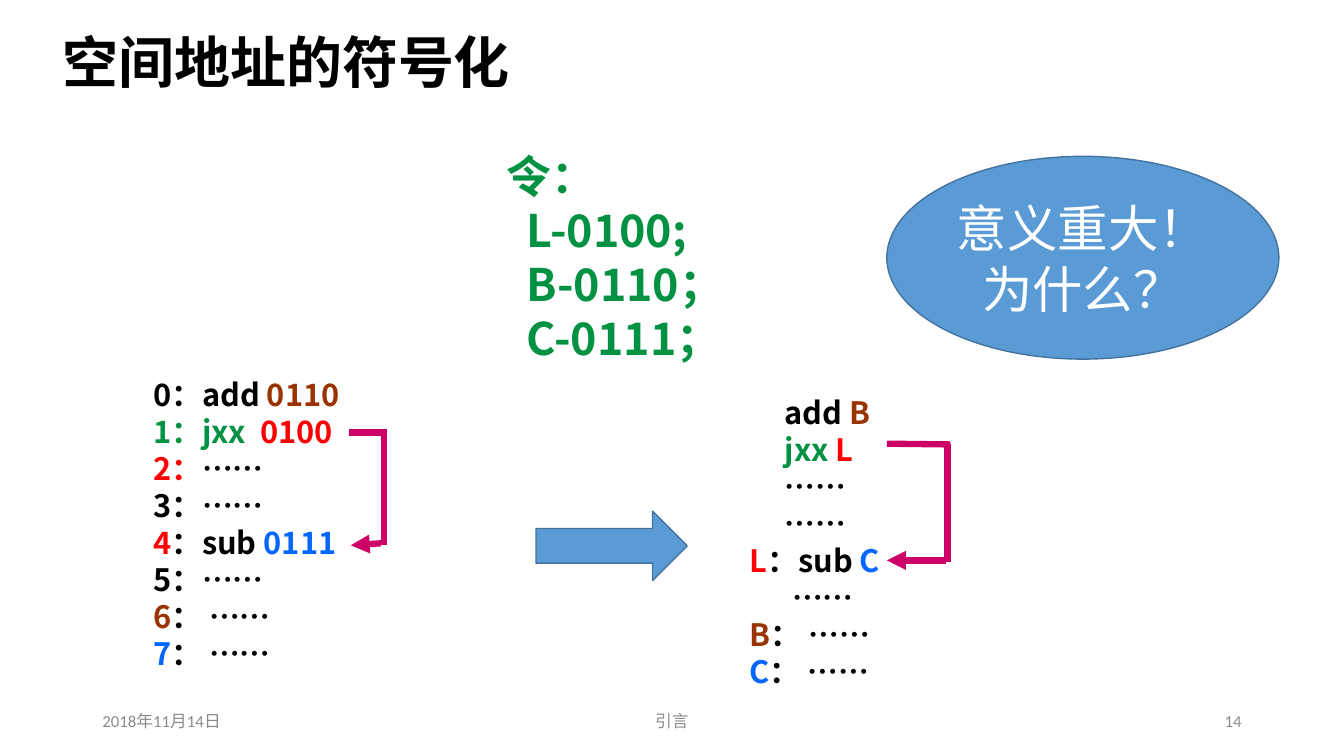
from pptx import Presentation
from pptx.dml.color import RGBColor
from pptx.enum.lang import MSO_LANGUAGE_ID
from pptx.enum.shapes import MSO_CONNECTOR, MSO_SHAPE
from pptx.enum.text import MSO_ANCHOR, MSO_AUTO_SIZE, PP_ALIGN
from pptx.oxml.ns import qn
from pptx.util import Cm, Pt
from lxml.etree import SubElement

CJK_FONT = "Noto Sans CJK SC"
BLACK, GREEN, RED = "000000", "009242", "FF0000"
BROWN, BLUE, GRAY, WHITE = "993300", "0066FF", "8C8C8C", "FFFFFF"
MAGENTA, SHAPE_FILL, SHAPE_LINE = "CC0066", "5B9BD5", "43739E"

TITLE = {"size": Pt(40), "name": "Arial", "bold": True}
CODE = {"size": Pt(22), "name": CJK_FONT, "bold": True}
SYMBOLS = {"size": Pt(32), "name": CJK_FONT, "bold": True}
FOOTER = {"size": Pt(12), "name": "Calibri", "bold": False}
CALLOUT = {"size": Pt(36), "name": "Calibri", "bold": False}

WIDE_GAP = " "
WIDE_GAP_SPACING = 500
DOTS = "……"

NUMBERED_CODE = [
    (0, [("0：add ", BLACK), ("0110", BROWN)]),
    (0, [("1：jxx", GREEN), (WIDE_GAP, GREEN), ("0100", RED)]),
    (0, [("2：", RED), (DOTS, BLACK)]),
    (0, [("3：" + DOTS, BLACK)]),
    (0, [("4", RED), ("：sub ", BLACK), ("0111", BLUE)]),
    (0, [("5：" + DOTS, BLACK)]),
    (0, [("6", BROWN), ("： " + DOTS, BLACK)]),
    (0, [("7", BLUE), ("： " + DOTS, BLACK)]),
]
LABELLED_CODE = [
    (0.88, [("add ", BLACK), ("B", BROWN)]),
    (0.88, [("jxx ", GREEN), ("L", RED)]),
    (0.88, [(DOTS, BLACK)]),
    (0.88, [(DOTS, BLACK)]),
    (0, [("L", RED), ("：sub ", BLACK), ("C", BLUE)]),
    (1.07, [(DOTS, BLACK)]),
    (0, [("B", BROWN), ("： " + DOTS, BLACK)]),
    (0, [("C", BLUE), ("： " + DOTS, BLACK)]),
]
DEFINITIONS = [
    (0, [("令：", GREEN)]),
    (0.5, [("L-0100;", GREEN)]),
    (0.5, [("B-0110；", GREEN)]),
    (0.5, [("C-0111；", GREEN)]),
]


def color(value):
    return RGBColor.from_string(value)


def place(box, left, top, width, height):
    lengths = {"left": left, "top": top, "width": width, "height": height}
    for name, value in lengths.items():
        setattr(box, name, Cm(value))


def add_span(para, text, hue, style):
    span = para.add_run()
    span.text = text
    for name, value in style.items():
        setattr(span.font, name, value)
    span.font.language_id = MSO_LANGUAGE_ID.SIMPLIFIED_CHINESE
    span.font.color.rgb = color(hue)
    properties = span.font._element
    SubElement(properties, qn("a:ea")).set("typeface", CJK_FONT)
    if text == WIDE_GAP:
        properties.set("spc", str(WIDE_GAP_SPACING))


def set_frame(box, anchor):
    frame = box.text_frame
    settings = {"word_wrap": True, "auto_size": MSO_AUTO_SIZE.NONE,
                "vertical_anchor": anchor}
    for name, value in settings.items():
        setattr(frame, name, value)
    return frame


def write_label(box, text, hue, style, align=PP_ALIGN.LEFT):
    para = set_frame(box, MSO_ANCHOR.MIDDLE).paragraphs[0]
    para.alignment = align
    add_span(para, text, hue, style)


def set_indent(para, indent):
    properties = para._p.get_or_add_pPr()
    properties.set("marL", str(Cm(indent)))
    properties.set("indent", "0")
    SubElement(properties, qn("a:buNone"))


def write_lines(box, lines, style, pitch):
    frame = set_frame(box, MSO_ANCHOR.TOP)
    for number, (indent, spans) in enumerate(lines):
        para = frame.add_paragraph() if number else frame.paragraphs[0]
        set_indent(para, indent)
        spacing = {"alignment": PP_ALIGN.LEFT, "line_spacing": Pt(pitch),
                   "space_before": Pt(0), "space_after": Pt(0)}
        for name, value in spacing.items():
            setattr(para, name, value)
        for text, hue in spans:
            add_span(para, text, hue, style)


def add_box(page, *area):
    return page.shapes.add_textbox(*map(Cm, area))


def add_block(page, kind, *area):
    block = page.shapes.add_shape(kind, *map(Cm, area))
    block.shadow.inherit = False
    block.fill.solid()
    block.fill.fore_color.rgb = color(SHAPE_FILL)
    block.line.color.rgb = color(SHAPE_LINE)
    block.line.width = Pt(1)
    return block


def add_jump(page, segments):
    for segment in segments:
        line = page.shapes.add_connector(MSO_CONNECTOR.STRAIGHT, *map(Cm, segment))
        line.line.color.rgb = color(MAGENTA)
        line.line.width = Pt(4.5)
        SubElement(line._element.spPr, qn("a:effectLst"))
    SubElement(line.line._get_or_add_ln(), qn("a:tailEnd")).set("type", "triangle")


def add_footer(page):
    write_label(add_box(page, 2.33, 17.65, 7.62, 1.02), "2018年11月14日", GRAY, FOOTER)
    write_label(add_box(page, 11.22, 17.65, 11.43, 1.02), "引言", GRAY, FOOTER,
                PP_ALIGN.CENTER)
    write_label(add_box(page, 23.92, 17.65, 7.62, 1.02), "14", GRAY, FOOTER,
                PP_ALIGN.RIGHT)


def main():
    deck = Presentation()
    deck.slide_width, deck.slide_height = Cm(33.87), Cm(19.05)
    page = deck.slides.add_slide(deck.slide_layouts[3])
    title, numbered, labelled = page.placeholders

    place(title, 1.32, 0.36, 23.19, 2.34)
    write_label(title, "空间地址的符号化", BLACK, TITLE)
    place(numbered, 3.61, 9.35, 7.52, 7.77)
    write_lines(numbered, NUMBERED_CODE, CODE, 26.4)
    place(labelled, 18.64, 9.8, 5.21, 7.77)
    write_lines(labelled, LABELLED_CODE, CODE, 26.4)
    write_lines(add_box(page, 12.52, 3.63, 7.04, 5.74), DEFINITIONS, SYMBOLS, 38.4)

    add_jump(page, [(8.8, 10.9, 9.75, 10.9), (9.68, 10.87, 9.68, 13.74),
                    (9.6, 13.69, 8.84, 13.74)])
    add_jump(page, [(22.35, 11.18, 23.95, 11.2), (23.88, 11.18, 23.88, 14.17),
                    (23.83, 14.12, 22.35, 14.12)])
    add_block(page, MSO_SHAPE.RIGHT_ARROW, 13.51, 12.88, 3.81, 1.75)
    callout = add_block(page, MSO_SHAPE.OVAL, 22.35, 3.94, 9.88, 5.11)
    write_label(callout, "意义重大！为什么？", WHITE, CALLOUT, PP_ALIGN.CENTER)
    add_footer(page)
    deck.save("out.pptx")


if __name__ == "__main__":
    main()
